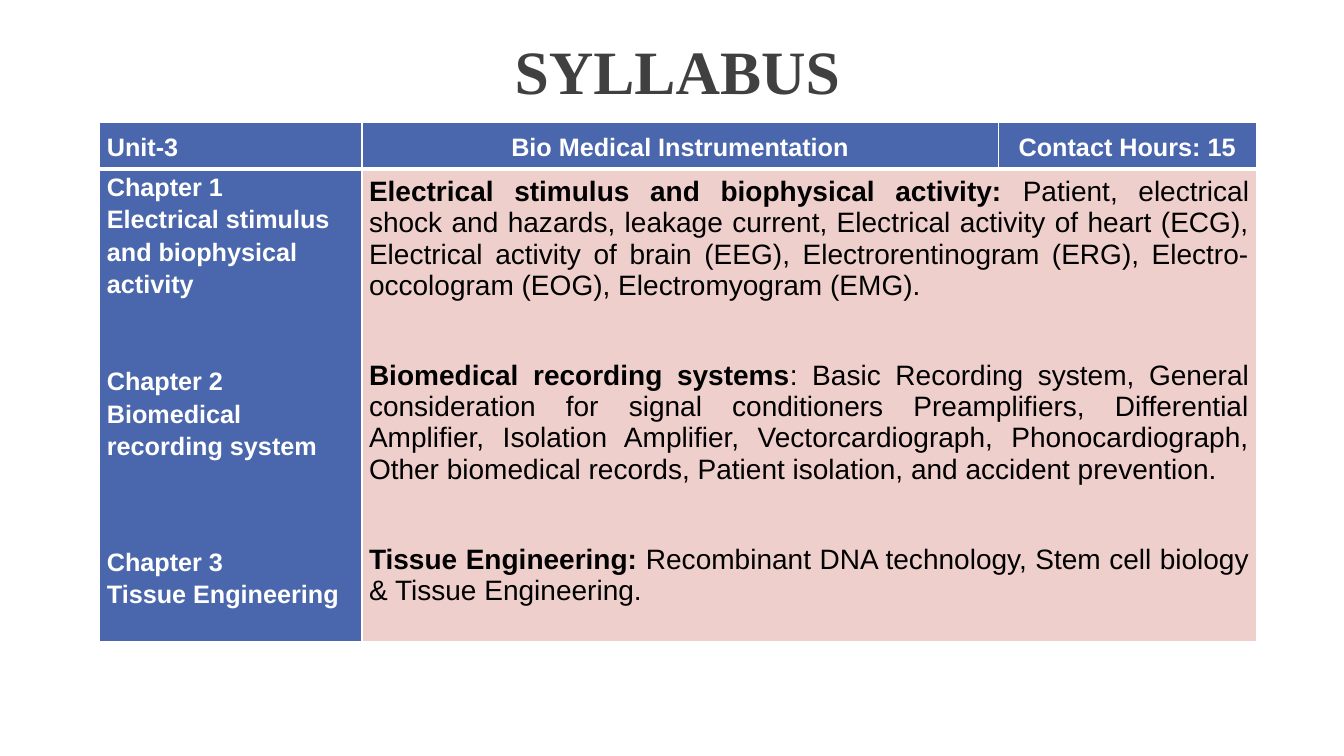
from dataclasses import dataclass
from lxml.etree import SubElement
from pptx import Presentation
from pptx.dml.color import RGBColor
from pptx.enum.text import MSO_ANCHOR as ANCHOR, PP_ALIGN as ALIGN
from pptx.oxml.ns import qn
from pptx.util import Inches, Pt


@dataclass(frozen=True)
class Theme:
    heading: str = "Times New Roman"
    body: str = "Arial"
    ink: str = "404040"
    black: str = "000000"
    white: str = "FFFFFF"
    blue: str = "4A66AC"
    pink: str = "EFCFCC"
    title_size: int = 44
    label_size: int = 18
    text_size: int = 20


T = Theme()
TITLE = "SYLLABUS"
HEADER = [
    ("Unit-3", ALIGN.LEFT),
    ("Bio Medical Instrumentation", ALIGN.CENTER),
    ("Contact Hours: 15", ALIGN.CENTER),
]
CHAPTERS = [
    ("Chapter 1", "Electrical stimulus and biophysical activity", 0),
    ("Chapter 2", "Biomedical recording system", 46.2),
    ("Chapter 3", "Tissue Engineering", 59.4),
]
TOPICS = [
    ("Electrical stimulus and biophysical activity: ",
     "Patient, electrical shock and hazards, leakage current, Electrical activity of heart (ECG), "
     "Electrical activity of brain (EEG), Electrorentinogram (ERG), Electro-occologram (EOG), "
     "Electromyogram (EMG)."),
    ("Biomedical recording systems",
     ": Basic Recording system, General consideration for signal conditioners Preamplifiers, "
     "Differential Amplifier, Isolation Amplifier, Vectorcardiograph, Phonocardiograph, "
     "Other biomedical records, Patient isolation, and accident prevention."),
    ("Tissue Engineering: ",
     "Recombinant DNA technology, Stem cell biology & Tissue Engineering."),
]
TOPIC_GAP = 42
COLUMNS = [2.6, 6.31, 2.56]
ROWS = [0.47, 4.69]
TABLE_LEFT, TABLE_TOP = 0.99, 1.21

TITLE_FONT = dict(name=T.heading, size=Pt(T.title_size), bold=True)
LABEL_FONT = dict(name=T.body, size=Pt(T.label_size), bold=True)
TOPIC_FONT = dict(name=T.body, size=Pt(T.text_size), bold=True)
DETAIL_FONT = {**TOPIC_FONT, "bold": False}


def apply(target, values):
    for name, value in values.items():
        setattr(target, name, value)


def add_paragraph(tf, index, runs, color, **layout):
    p = tf.paragraphs[0] if index == 0 else tf.add_paragraph()
    apply(p, layout)
    for text, font in runs:
        r = p.add_run()
        r.text = text
        apply(r.font, font)
        r.font.color.rgb = RGBColor.from_string(color)


def style_cell(cell, fill, top, bottom, **layout):
    apply(cell, dict(margin_left=Inches(0.07), margin_right=Inches(0.07),
                     margin_top=0, margin_bottom=0, **layout))
    tc_pr = cell._tc.get_or_add_tcPr()
    for side, width in zip("LRTB", (1, 1, top, bottom)):
        ln = SubElement(tc_pr, qn(f"a:ln{side}"), w=str(Pt(width)))
        SubElement(SubElement(ln, qn("a:solidFill")), qn("a:srgbClr"), val=T.white)
    cell.fill.solid()
    cell.fill.fore_color.rgb = RGBColor.from_string(fill)


prs = Presentation()
prs.slide_width, prs.slide_height = Inches(13.33), Inches(7.5)
s = prs.slides.add_slide(prs.slide_layouts[6])

title = s.shapes.add_textbox(Inches(1.24), Inches(0.21), Inches(10.96), Inches(1.05))
apply(title.text_frame, dict(word_wrap=True, vertical_anchor=ANCHOR.MIDDLE))
add_paragraph(title.text_frame, 0, [(TITLE, TITLE_FONT)], T.ink,
              alignment=ALIGN.CENTER, line_spacing=0.9)

table = s.shapes.add_table(len(ROWS), len(COLUMNS), Inches(TABLE_LEFT), Inches(TABLE_TOP),
                           Inches(sum(COLUMNS)), Inches(sum(ROWS))).table
apply(table, dict(first_row=False, horz_banding=False))
for column, width in zip(table.columns, COLUMNS):
    column.width = Inches(width)
for row, height in zip(table.rows, ROWS):
    row.height = Inches(height)

for col, (text, align) in enumerate(HEADER):
    cell = table.cell(0, col)
    style_cell(cell, T.blue, 1, 3, vertical_anchor=ANCHOR.MIDDLE)
    add_paragraph(cell.text_frame, 0, [(text, LABEL_FONT)], T.white,
                  alignment=align, line_spacing=1.15, space_after=Pt(10))

table.cell(1, 1).merge(table.cell(1, 2))
for col, fill in enumerate((T.blue, T.pink, T.pink)):
    style_cell(table.cell(1, col), fill, 3, 1)

chapters = table.cell(1, 0).text_frame
for i, (number, name, gap) in enumerate(CHAPTERS):
    for j, (text, before) in enumerate(((number, gap), (name, 0))):
        add_paragraph(chapters, 2 * i + j, [(text, LABEL_FONT)], T.white,
                      line_spacing=1.15, space_before=Pt(before))

topics = table.cell(1, 1)
topics.margin_top = Inches(0.07)
for i, (topic, detail) in enumerate(TOPICS):
    add_paragraph(topics.text_frame, i, [(topic, TOPIC_FONT), (detail, DETAIL_FONT)], T.black,
                  alignment=ALIGN.JUSTIFY, space_before=Pt(TOPIC_GAP if i else 0))

prs.save("out.pptx")
